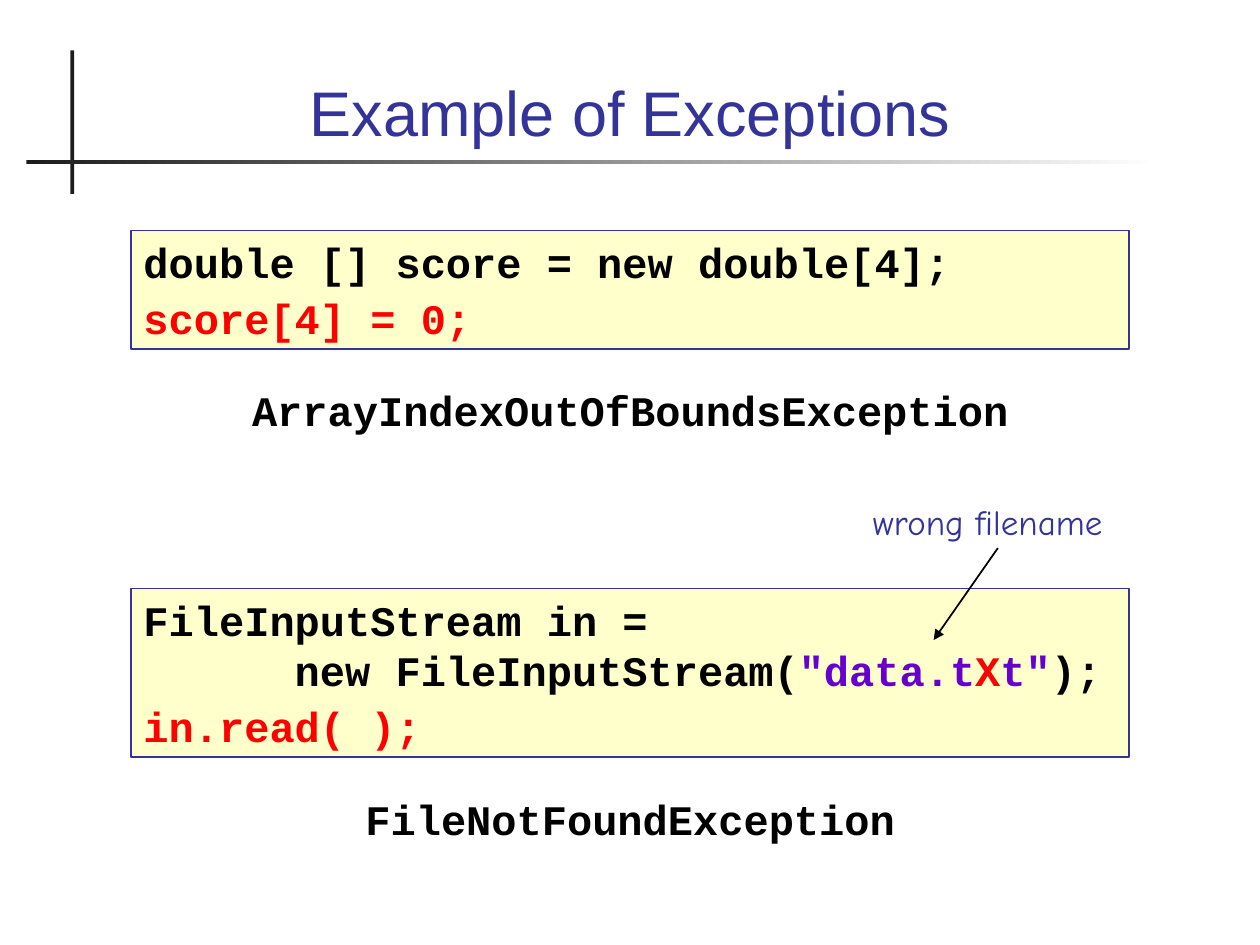
from dataclasses import dataclass
from typing import NamedTuple

from lxml import etree
from pptx import Presentation
from pptx.dml.color import RGBColor
from pptx.enum.shapes import MSO_CONNECTOR, MSO_SHAPE
from pptx.enum.text import MSO_ANCHOR, MSO_AUTO_SIZE, PP_ALIGN
from pptx.oxml.ns import qn
from pptx.util import Inches, Pt

RECTANGLE = MSO_SHAPE.RECTANGLE
STRAIGHT = MSO_CONNECTOR.STRAIGHT
TOP, BOTTOM = MSO_ANCHOR.TOP, MSO_ANCHOR.BOTTOM
LEFT, CENTER = PP_ALIGN.LEFT, PP_ALIGN.CENTER
GROW, FIXED = MSO_AUTO_SIZE.SHAPE_TO_FIT_TEXT, MSO_AUTO_SIZE.NONE


@dataclass(frozen=True)
class Theme:
    ink: str = "000000"
    navy: str = "333399"
    error: str = "FF0000"
    string: str = "6600CC"
    panel: str = "FFFFCC"
    rule: str = "1C1C1C"
    paper: str = "FFFFFF"
    title_size: int = 36
    code_size: int = 24
    note_size: int = 20
    line_width: int = 1
    code_gap: int = 3


THEME = Theme()


class Box(NamedTuple):
    left: float
    top: float
    width: float
    height: float


class Span(NamedTuple):
    text: str
    color: str = THEME.ink


class Style(NamedTuple):
    font: str
    size: int
    bold: bool = False
    align: PP_ALIGN = LEFT
    anchor: MSO_ANCHOR = TOP
    fit: MSO_AUTO_SIZE = GROW


class Example(NamedTuple):
    code_top: float
    code_height: float
    code: list[list[Span]]
    exception_top: float
    exception: str


TITLE = Style("Arial", THEME.title_size, align=CENTER, anchor=BOTTOM, fit=FIXED)
CODE = Style("Courier New", THEME.code_size, bold=True)
EXCEPTION = CODE._replace(align=CENTER)
NOTE = Style("Comic Neue", THEME.note_size)

COLUMN_LEFT, COLUMN_WIDTH, EXCEPTION_HEIGHT = 1.04, 7.92, 0.5

EXAMPLES = [
    Example(1.83, 0.94, [
        [Span("double [] score = new double[4];")],
        [Span("score[4] = 0;", THEME.error)],
    ], 3.0, "ArrayIndexOutOfBoundsException"),
    Example(4.67, 1.34, [
        [Span("FileInputStream in =\n      new FileInputStream("),
         Span('"data.t', THEME.string), Span("X", THEME.error),
         Span('t"', THEME.string), Span(");")],
        [Span("in.read( );", THEME.error)],
    ], 6.25, "FileNotFoundException"),
]


def rgb(color: str) -> RGBColor:
    return RGBColor.from_string(color)


def inches(box: Box) -> list[Inches]:
    return [Inches(length) for length in box]


def add_bar(slide, box: Box):
    bar = slide.shapes.add_shape(RECTANGLE, *inches(box))
    bar.shadow.inherit = False
    bar.line.fill.background()
    bar.fill.solid()
    bar.fill.fore_color.rgb = rgb(THEME.rule)
    return bar


def write(shape, paragraphs: list[list[Span]], style: Style) -> None:
    frame = shape.text_frame
    frame_format = {
        "word_wrap": True, "auto_size": style.fit, "vertical_anchor": style.anchor,
        "margin_left": Inches(0.1), "margin_right": Inches(0.1),
        "margin_top": Inches(0.05), "margin_bottom": Inches(0.05),
    }
    for name, value in frame_format.items():
        setattr(frame, name, value)
    font_format = {"name": style.font, "size": Pt(style.size), "bold": style.bold}
    for index, spans in enumerate(paragraphs):
        paragraph = frame.add_paragraph() if index else frame.paragraphs[0]
        paragraph.alignment = style.align
        if index:
            paragraph.space_before = Pt(THEME.code_gap)
        for span in spans:
            for row, text in enumerate(span.text.split("\n")):
                if row:
                    paragraph.add_line_break()
                run = paragraph.add_run()
                run.text = text
                run.font.color.rgb = rgb(span.color)
                for name, value in font_format.items():
                    setattr(run.font, name, value)


def add_text(slide, box: Box, text: str, color: str, style: Style) -> None:
    write(slide.shapes.add_textbox(*inches(box)), [[Span(text, color)]], style)


def add_code(slide, box: Box, code: list[list[Span]]) -> None:
    panel = slide.shapes.add_shape(RECTANGLE, *inches(box))
    panel.shadow.inherit = False
    panel.fill.solid()
    panel.fill.fore_color.rgb = rgb(THEME.panel)
    panel.line.color.rgb = rgb(THEME.navy)
    panel.line.width = Pt(THEME.line_width)
    write(panel, code, CODE)


def add_arrow(slide, start: tuple[float, float], end: tuple[float, float]) -> None:
    ends = [Inches(length) for length in (*start, *end)]
    arrow = slide.shapes.add_connector(STRAIGHT, *ends)
    arrow.line.color.rgb = rgb(THEME.ink)
    arrow.line.width = Pt(THEME.line_width)
    etree.SubElement(arrow.line._get_or_add_ln(), qn("a:tailEnd"), type="triangle")
    etree.SubElement(arrow._element.spPr, qn("a:effectLst"))


def main() -> None:
    deck = Presentation()
    deck.slide_width, deck.slide_height = Inches(10), Inches(7.5)
    slide = deck.slides.add_slide(deck.slide_layouts[6])

    # Crossed rules, the horizontal one fading out to the right
    add_bar(slide, Box(0.56, 0.4, 0.03, 1.14))
    fading_rule = add_bar(slide, Box(0.21, 1.27, 8.99, 0.03))
    fading_rule.fill.gradient()
    fading_rule.fill.gradient_angle = 0
    for stop, color in zip(fading_rule.fill.gradient_stops, (THEME.rule, THEME.paper)):
        stop.color.rgb = rgb(color)

    # Title
    add_text(slide, Box(0.67, 0.42, 8.66, 0.81), "Example of Exceptions",
             THEME.navy, TITLE)

    # Code samples with the exception each one throws
    for example in EXAMPLES:
        add_code(slide, Box(COLUMN_LEFT, example.code_top, COLUMN_WIDTH,
                            example.code_height), example.code)
        add_text(slide, Box(COLUMN_LEFT, example.exception_top, COLUMN_WIDTH,
                            EXCEPTION_HEIGHT), example.exception, THEME.ink, EXCEPTION)

    # Note pointing at the misspelt file name
    add_text(slide, Box(6.83, 3.92, 2.67, 0.44), "wrong filename", THEME.navy, NOTE)
    add_arrow(slide, (7.92, 4.35), (7.41, 5.08))

    deck.save("out.pptx")


if __name__ == "__main__":
    main()
